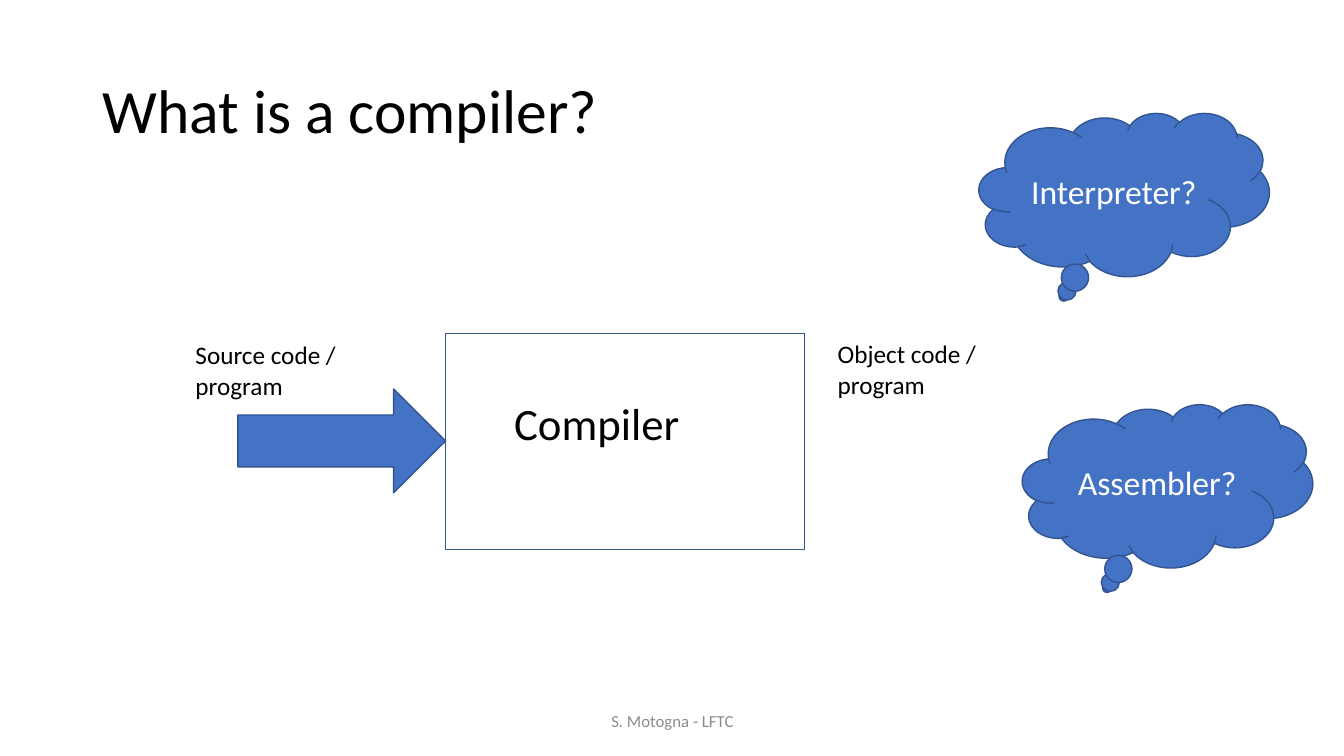
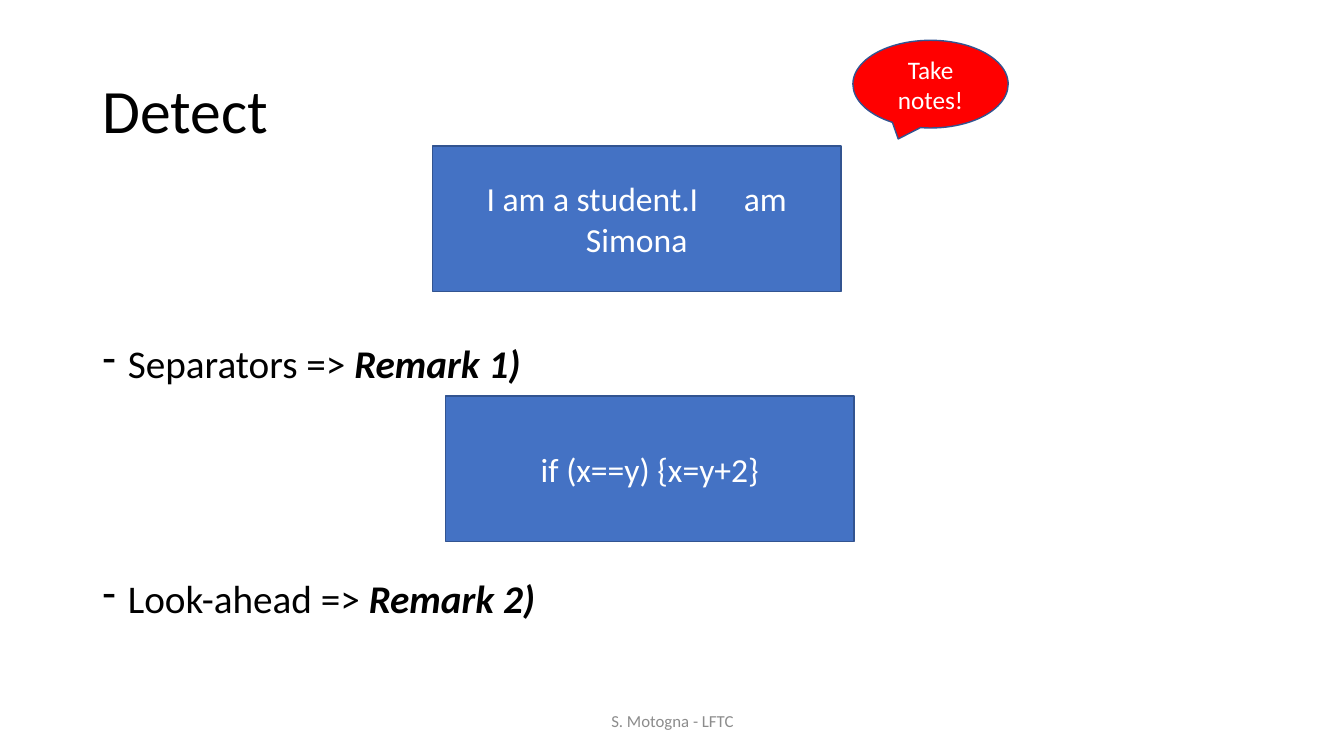
import pptx
import pptx.util
import pptx.dml.color
import pptx.enum.shapes
import pptx.enum.text
import pptx.oxml.ns
import lxml.etree

Inches = pptx.util.Inches
Pt = pptx.util.Pt
RGBColor = pptx.dml.color.RGBColor
KIND = pptx.enum.shapes.MSO_SHAPE
ALIGN = pptx.enum.text.PP_ALIGN
ANCHOR = pptx.enum.text.MSO_ANCHOR

BLACK = RGBColor(0x00, 0x00, 0x00)
WHITE = RGBColor(0xFF, 0xFF, 0xFF)
GRAY = RGBColor(0x8C, 0x8C, 0x8C)
BLUE = RGBColor(0x44, 0x72, 0xC4)
NAVY = RGBColor(0x32, 0x54, 0x91)
RED = RGBColor(0xFF, 0x00, 0x00)
FONT = "Calibri"


def write(para, text, size=18, color=BLACK, bold=False, italic=False):
    run = para.add_run()
    run.text = text
    font = run.font
    font.name, font.size = FONT, Pt(size)
    font.bold, font.italic = bold, italic
    font.color.rgb = color


class Deck:
    def __init__(self):
        self.file = pptx.Presentation()
        self.file.slide_width = Inches(13.33)
        self.file.slide_height = Inches(7.5)

    def start(self, title):
        self.slide = self.file.slides.add_slide(self.file.slide_layouts[6])
        head = self.label(title, 0.92, 0.4, 11.5, 1.45, size=44, anchor=ANCHOR.MIDDLE)
        head.paragraphs[0].line_spacing = 0.9
        self.label("S. Motogna - LFTC", 4.42, 6.95, 4.5, 0.4, size=12, color=GRAY,
                   align=ALIGN.CENTER, anchor=ANCHOR.MIDDLE)

    def frame(self, left, top, width, height, anchor=ANCHOR.TOP):
        box = self.slide.shapes.add_textbox(
            Inches(left), Inches(top), Inches(width), Inches(height))
        frame = box.text_frame
        frame.word_wrap = True
        frame.vertical_anchor = anchor
        return frame

    def label(self, text, left, top, width, height, align=ALIGN.LEFT,
              anchor=ANCHOR.TOP, **style):
        frame = self.frame(left, top, width, height, anchor)
        frame.paragraphs[0].alignment = align
        write(frame.paragraphs[0], text, **style)
        return frame

    def shape(self, kind, left, top, width, height, text="", fill=BLUE, size=24):
        shape = self.slide.shapes.add_shape(
            kind, Inches(left), Inches(top), Inches(width), Inches(height))
        shape.shadow.inherit = False
        if fill is None:
            shape.fill.background()
        else:
            shape.fill.solid()
            shape.fill.fore_color.rgb = fill
        shape.line.color.rgb = NAVY
        shape.line.width = Pt(1)
        if text:
            frame = shape.text_frame
            frame.word_wrap = True
            frame.vertical_anchor = ANCHOR.MIDDLE
            frame.paragraphs[0].alignment = ALIGN.CENTER
            write(frame.paragraphs[0], text, size=size, color=WHITE)

    def bullets(self, items, left, top, width, height, gap):
        frame = self.frame(left, top, width, height)
        for rank, (text, remark) in enumerate(items):
            para = frame.add_paragraph() if rank else frame.paragraphs[0]
            if rank:
                para.space_before = Pt(gap)
            write(para, text, size=28)
            write(para, remark, size=28, bold=True, italic=True)
            props = para._p.get_or_add_pPr()
            props.set("marL", str(Inches(0.25)))
            props.set("indent", str(Inches(-0.25)))
            mark = lxml.etree.SubElement(props, pptx.oxml.ns.qn("a:buChar"))
            mark.set("char", "-")


deck = Deck()

deck.start("What is a compiler?")
deck.label("Object code / program", 8.21, 3.31, 2.05, 0.71)
deck.shape(KIND.RECTANGLE, 4.42, 3.31, 3.56, 2.14, fill=None)
deck.shape(KIND.RIGHT_ARROW, 2.36, 3.86, 2.06, 1.03)
deck.label("Source code / program", 1.84, 3.32, 2.05, 0.71)
deck.label("Compiler", 5, 3.88, 2.4, 0.64, size=32)
for text, left, top in (("Interpreter?", 9.71, 1.12), ("Assembler?", 10.14, 4.01)):
    deck.shape(KIND.CLOUD_CALLOUT, left, top, 2.88, 1.62, text)

deck.start("Detect")
deck.bullets((("Separators => ", "Remark 1)"), ("Look-ahead => ", "Remark 2)")),
             0.92, 3.32, 11.5, 3.43, gap=134)
for text, left, top in (("I am a student.I      am Simona", 4.29, 1.45),
                        ("if (x==y) {x=y+2}", 4.42, 3.93)):
    deck.shape(KIND.RECTANGLE, left, top, 4.05, 1.44, text)
deck.shape(KIND.OVAL_CALLOUT, 8.46, 0.4, 1.54, 0.87, "Take notes!", fill=RED, size=18)

deck.file.save("out.pptx")
